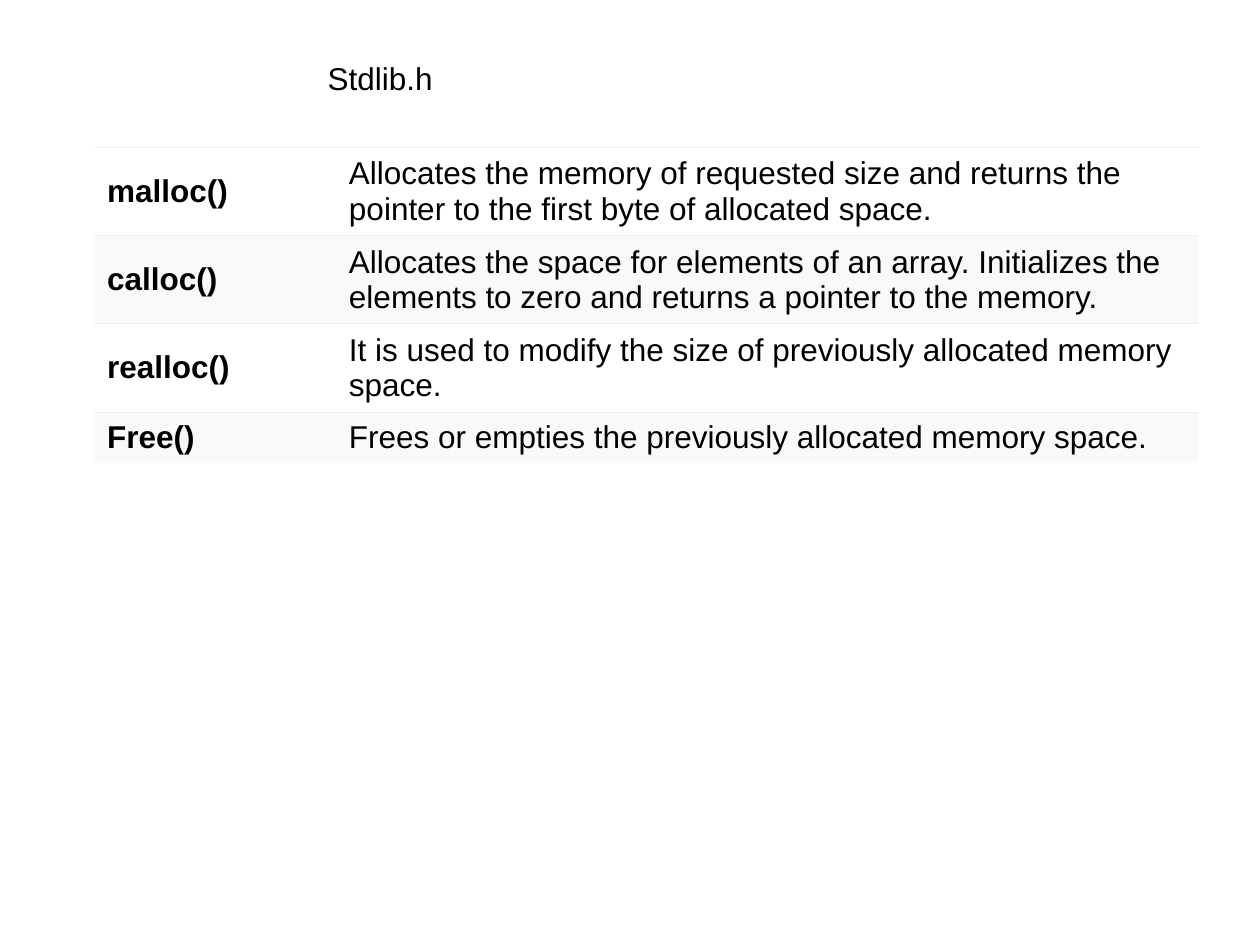
from dataclasses import dataclass

from lxml.etree import SubElement
from pptx import Presentation
from pptx.dml.color import RGBColor as Color
from pptx.enum.text import MSO_ANCHOR as Anchor, MSO_AUTO_SIZE as AutoSize, PP_ALIGN as Align
from pptx.oxml.ns import qn
from pptx.util import Inches, Pt


@dataclass(frozen=True)
class Theme:
    font: str = "Arial"
    size: float = 18
    text: str = "000000"
    border: str = "EEEEEE"
    border_width: float = 0.75
    bands: tuple[str, str] = ("FFFFFF", "F9F9F9")


@dataclass(frozen=True)
class Function:
    name: str
    purpose: str
    height: float = 0.7


THEME = Theme()
COLUMN_WIDTHS = (1.92, 6.85)
FUNCTIONS = (
    Function("malloc()", "Allocates the memory of requested size and returns the "
             "pointer to the first byte of allocated space."),
    Function("calloc()", "Allocates the space for elements of an array. Initializes the "
             "elements to zero and returns a pointer to the memory."),
    Function("realloc()", "It is used to modify the size of previously allocated memory space."),
    Function("Free()", "Frees or empties the previously allocated memory space.", 0.4),
)


def format_text(para, bold: bool = False) -> None:
    para.alignment = Align.LEFT
    formats = {"name": THEME.font, "size": Pt(THEME.size), "bold": bold}
    for span in para.runs:
        for key, value in formats.items():
            setattr(span.font, key, value)
        span.font.color.rgb = Color.from_string(THEME.text)


def set_borders(cell, visible: str) -> None:
    """Draw the sides named in visible (from L, R, T, B) and clear the others."""
    properties = cell._tc.get_or_add_tcPr()
    for position, side in enumerate("LRTB"):
        line = SubElement(properties, qn(f"a:ln{side}"))
        if side in visible:
            line.set("w", str(Pt(THEME.border_width)))
            fill = SubElement(line, qn("a:solidFill"))
            SubElement(fill, qn("a:srgbClr")).set("val", THEME.border)
        else:
            line.set("w", "0")
            SubElement(line, qn("a:noFill"))
        properties.insert(position, line)


def add_heading(page, text: str) -> None:
    box = page.shapes.title
    box.left, box.top, box.width, box.height = map(Inches, (2.5, 0.42, 3.5, 0.4))
    frame = box.text_frame
    frame.text = text
    settings = {"vertical_anchor": Anchor.TOP, "auto_size": AutoSize.SHAPE_TO_FIT_TEXT,
                "word_wrap": True}
    for key, value in settings.items():
        setattr(frame, key, value)
    format_text(frame.paragraphs[0])


def add_function_table(page, functions: tuple[Function, ...]) -> None:
    height = sum(function.height for function in functions)
    table = page.shapes.add_table(
        len(functions), len(COLUMN_WIDTHS), Inches(0.75), Inches(1.17),
        Inches(sum(COLUMN_WIDTHS)), Inches(height)).table
    table.first_row = table.horz_banding = False
    for column, width in zip(table.columns, COLUMN_WIDTHS):
        column.width = Inches(width)

    for index, function in enumerate(functions):
        row = table.rows[index]
        row.height = Inches(function.height)
        sides = "T" if index == len(functions) - 1 else "TB"
        for cell, text in zip(row.cells, (function.name, function.purpose)):
            cell.text = text
            cell.vertical_anchor = Anchor.MIDDLE
            cell.fill.solid()
            cell.fill.fore_color.rgb = Color.from_string(THEME.bands[index % 2])
            set_borders(cell, sides)
            format_text(cell.text_frame.paragraphs[0], bold=text == function.name)


def main() -> None:
    deck = Presentation()
    deck.slide_width, deck.slide_height = Inches(10), Inches(7.5)
    page = deck.slides.add_slide(deck.slide_layouts.get_by_name("Title Only"))
    # Function reference, then the header name above it
    add_function_table(page, FUNCTIONS)
    add_heading(page, "Stdlib.h")
    deck.save("out.pptx")


if __name__ == "__main__":
    main()
